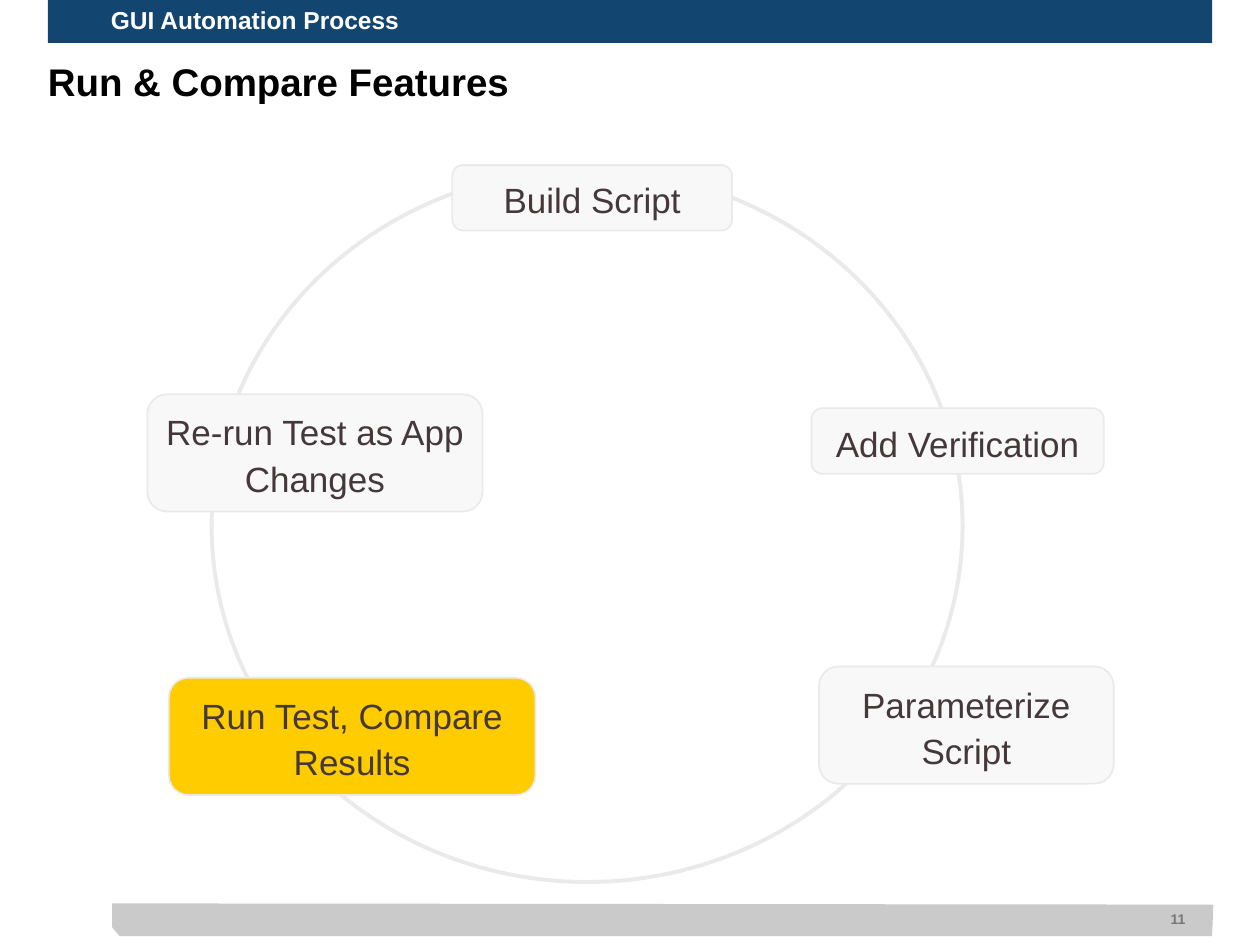
from collections import namedtuple
from dataclasses import dataclass

import pptx
import pptx.dml.color
import pptx.enum.shapes
import pptx.enum.text
import pptx.util

Inches = pptx.util.Inches
Pt = pptx.util.Pt
SHAPE = pptx.enum.shapes.MSO_SHAPE
ALIGN = pptx.enum.text.PP_ALIGN
ANCHOR = pptx.enum.text.MSO_ANCHOR

Box = namedtuple("Box", "left top width height")


@dataclass(frozen=True)
class Theme:
    font: str = "Arial"
    banner: str = "124570"
    banner_text: str = "FFFFFF"
    heading: str = "000000"
    step: str = "F8F8F8"
    current_step: str = "FFCC00"
    step_text: str = "45383A"
    outline: str = "EAEAEA"
    footer: str = "CACACA"
    footer_text: str = "777777"
    heading_size: int = 22
    step_size: int = 20
    banner_size: int = 14
    footer_size: int = 8


THEME = Theme()


def rgb(value):
    return pptx.dml.color.RGBColor.from_string(value)


def inches(*values):
    return Box(*(Inches(value) for value in values))


def paint(shape, fill=None, line=None, weight=1):
    shape.shadow.inherit = False
    if fill:
        shape.fill.solid()
        shape.fill.fore_color.rgb = rgb(fill)
    else:
        shape.fill.background()
    if line:
        shape.line.color.rgb = rgb(line)
        shape.line.width = Pt(weight)
    else:
        shape.line.fill.background()


def write(shape, text, size, color, bold=False, align=ALIGN.LEFT,
          spacing=1.0, anchor=ANCHOR.MIDDLE, margins=(0, 0, 0, 0)):
    """Fill a shape with one formatted paragraph; margins run left, top, right, bottom."""
    frame = shape.text_frame
    frame.word_wrap = True
    frame.auto_size = pptx.enum.text.MSO_AUTO_SIZE.NONE
    frame.vertical_anchor = anchor
    (frame.margin_left, frame.margin_top,
     frame.margin_right, frame.margin_bottom) = map(Inches, margins)
    frame.text = text
    paragraph = frame.paragraphs[0]
    paragraph.alignment = align
    paragraph.line_spacing = spacing
    paragraph.space_before = Pt(0)
    paragraph.font.name = THEME.font
    paragraph.font.size = Pt(size)
    paragraph.font.bold = bold
    paragraph.font.color.rgb = rgb(color)


def add_footer(slide, box, number):
    cut_x, cut_y = Inches(0.06), Inches(0.07)
    right, bottom = box.left + box.width, box.top + box.height
    outline = slide.shapes.build_freeform(box.left, box.top)
    outline.add_line_segments([
        (box.left, bottom - cut_y),
        (box.left + cut_x, bottom),
        (right - Inches(0.01), bottom),
        (right, box.top + Inches(0.01)),
    ])
    paint(outline.convert_to_shape(), THEME.footer)

    page_width = Inches(1)
    page = slide.shapes.add_textbox(
        right - Inches(0.22) - page_width, box.top + Inches(0.06),
        page_width, Inches(0.13))
    write(page, number, THEME.footer_size, THEME.footer_text,
          bold=True, align=ALIGN.RIGHT)


def add_heading(slide, box, text):
    title = slide.shapes.title
    title.left, title.top, title.width, title.height = box
    write(title, text, THEME.heading_size, THEME.heading, bold=True,
          spacing=0.9, anchor=ANCHOR.TOP)


def add_banner(slide, box, text):
    banner = slide.shapes.add_shape(SHAPE.RECTANGLE, *box)
    paint(banner, THEME.banner)
    write(banner, text, THEME.banner_size, THEME.banner_text, bold=True,
          spacing=0.9, margins=(0.5, 0.05, 0.1, 0.05))


def add_cycle(slide, box, steps, current):
    """Draw the ring in the box and the steps at offsets from its corner."""
    ring = slide.shapes.add_shape(SHAPE.OVAL, *box)
    paint(ring, line=THEME.outline, weight=2.25)
    line_heights = {1: Inches(0.52), 2: Inches(0.93)}
    for label, x, y, width, lines in steps:
        step = slide.shapes.add_shape(
            SHAPE.ROUNDED_RECTANGLE, box.left + Inches(x), box.top + Inches(y),
            Inches(width), line_heights[lines])
        step.adjustments[0] = 0.167
        paint(step, THEME.current_step if label == current else THEME.step,
              THEME.outline)
        write(step, label, THEME.step_size, THEME.step_text,
              align=ALIGN.CENTER, spacing=1.1, margins=(0.05,) * 4)


def main():
    deck = pptx.Presentation()
    deck.slide_width, deck.slide_height = Inches(10), Inches(7.5)
    slide = deck.slides.add_slide(deck.slide_layouts.get_by_name("Title Only"))

    add_footer(slide, inches(0.89, 7.17, 8.74, 0.26), "11")
    add_heading(slide, inches(0.38, 0.5, 9.25, 0.86), "Run & Compare Features")
    add_banner(slide, inches(0.38, 0, 9.24, 0.34), "GUI Automation Process")

    # label, x and y from the ring's corner, width, lines of text
    steps = [
        ("Build Script", 1.91, -0.04, 2.22, 1),
        ("Re-run Test as App Changes", -0.51, 1.78, 2.66, 2),
        ("Run Test, Compare Results", -0.34, 4.03, 2.91, 2),
        ("Parameterize Script", 4.82, 3.94, 2.34, 2),
        ("Add Verification", 4.76, 1.89, 2.32, 1),
    ]
    add_cycle(slide, inches(1.68, 1.35, 5.96, 5.65), steps,
              current="Run Test, Compare Results")
    deck.save("out.pptx")


if __name__ == "__main__":
    main()
